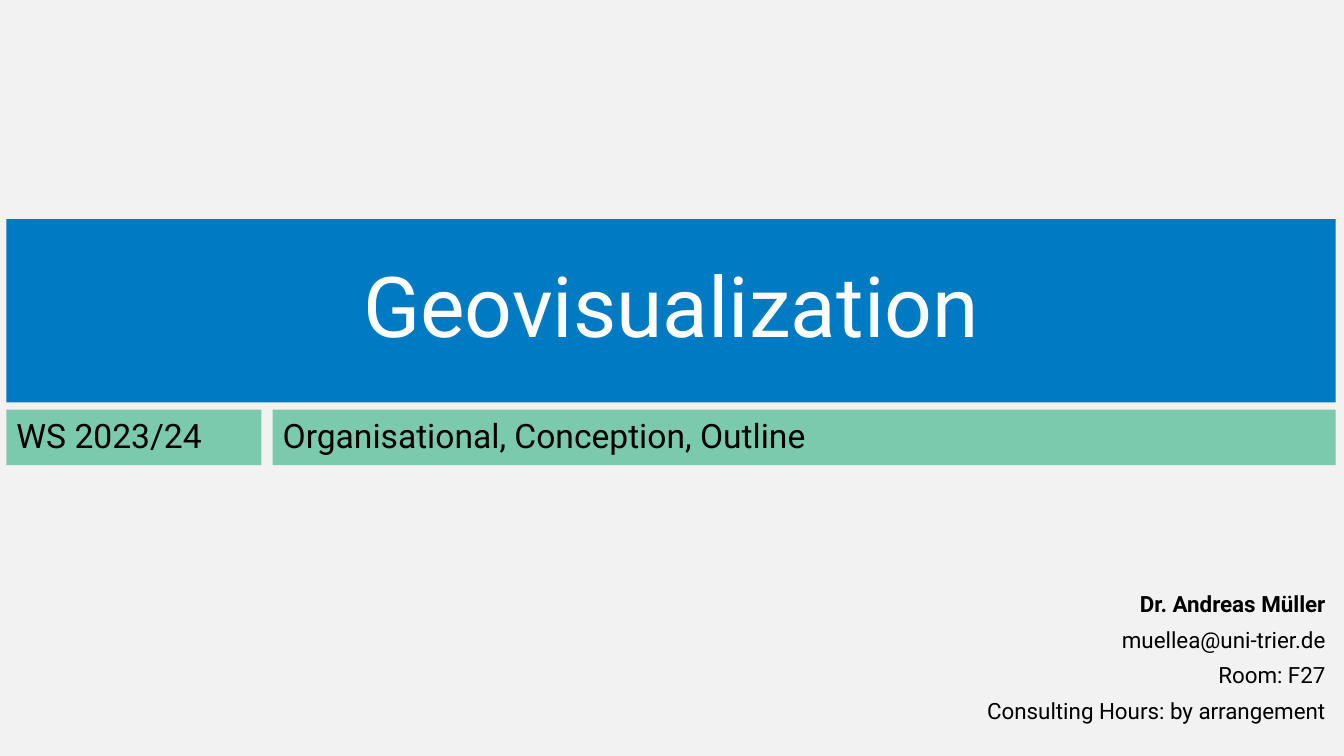
from dataclasses import dataclass
from pptx import Presentation
from pptx.dml.color import RGBColor as Rgb
from pptx.enum.text import MSO_ANCHOR as Anchor, MSO_AUTO_SIZE as Fit, PP_ALIGN as Align
from pptx.util import Cm, Pt
from lxml.etree import SubElement as Sub

TITLE = "Geovisualization"
TERM = "WS 2023/24"
TOPIC = "Organisational, Conception, Outline"
CONTACT = [
    "Dr. Andreas Müller",
    "muellea@uni-trier.de",
    "Room: F27",
    "Consulting Hours: by arrangement",
]


@dataclass(frozen=True)
class Theme:
    font: str = "Roboto"
    page: Rgb = Rgb(0xF2, 0xF2, 0xF2)
    blue: Rgb = Rgb(0x00, 0x7A, 0xC3)
    green: Rgb = Rgb(0x7C, 0xCA, 0xAE)
    white: Rgb = Rgb(0xFF, 0xFF, 0xFF)
    black: Rgb = Rgb(0x00, 0x00, 0x00)
    head: int = 60
    bar: int = 24
    note: int = 16


theme = Theme()
WIDE, HIGH = 33.87, 19.05
LEFT, RIGHT = 0.16, 33.66
TOP, TALL = 5.52, 4.62
BAR_TOP, BAR_TALL = 10.32, 1.4
TERM_WIDE, GAP = 6.43, 0.28
NOTE_LEFT, NOTE_TOP, NOTE_TALL = 22.83, 14.83, 3.53
TOPIC_LEFT = LEFT + TERM_WIDE + GAP


def fill_in(shape, box, lines, size, color, align, anchor, back=None):
    left, top, wide, tall = box
    shape.left, shape.top = Cm(left), Cm(top)
    shape.width, shape.height = Cm(wide), Cm(tall)
    if back is not None:
        shape.fill.solid()
        shape.fill.fore_color.rgb = back
    frame = shape.text_frame
    frame.text = "\n".join(lines)
    frame.word_wrap = True
    frame.auto_size = Fit.NONE
    frame.vertical_anchor = anchor
    for row, para in enumerate(frame.paragraphs):
        props = para._p.get_or_add_pPr()
        props.set("marL", "0")
        props.set("indent", "0")
        Sub(props, "{http://schemas.openxmlformats.org/drawingml/2006/main}buNone")
        para.alignment = align
        para.line_spacing = 0.9
        para.space_before = Pt(8.1 if row else 0)
        for run in para.runs:
            run.font.name = theme.font
            run.font.size = Pt(size)
            run.font.color.rgb = color
            run.font.bold = False


def main():
    deck = Presentation()
    deck.slide_width, deck.slide_height = Cm(WIDE), Cm(HIGH)
    slide = deck.slides.add_slide(deck.slide_layouts.get_by_name("Comparison"))
    slide.background.fill.solid()
    slide.background.fill.fore_color.rgb = theme.page
    title, term, note, topic, spare = list(slide.placeholders)[:5]

    fill_in(title, (LEFT, TOP, RIGHT - LEFT, TALL), [TITLE],
            theme.head, theme.white, Align.CENTER, Anchor.MIDDLE, theme.blue)
    bars = [
        (term, LEFT, TERM_WIDE, TERM),
        (topic, TOPIC_LEFT, RIGHT - TOPIC_LEFT, TOPIC),
    ]
    for shape, left, wide, text in bars:
        fill_in(shape, (left, BAR_TOP, wide, BAR_TALL), [text],
                theme.bar, theme.black, Align.LEFT, Anchor.MIDDLE, theme.green)
    fill_in(note, (NOTE_LEFT, NOTE_TOP, RIGHT - NOTE_LEFT, NOTE_TALL), CONTACT,
            theme.note, theme.black, Align.RIGHT, Anchor.TOP)
    note.text_frame.paragraphs[0].runs[0].font.bold = True
    spare.element.getparent().remove(spare.element)
    deck.save("out.pptx")


if __name__ == "__main__":
    main()
